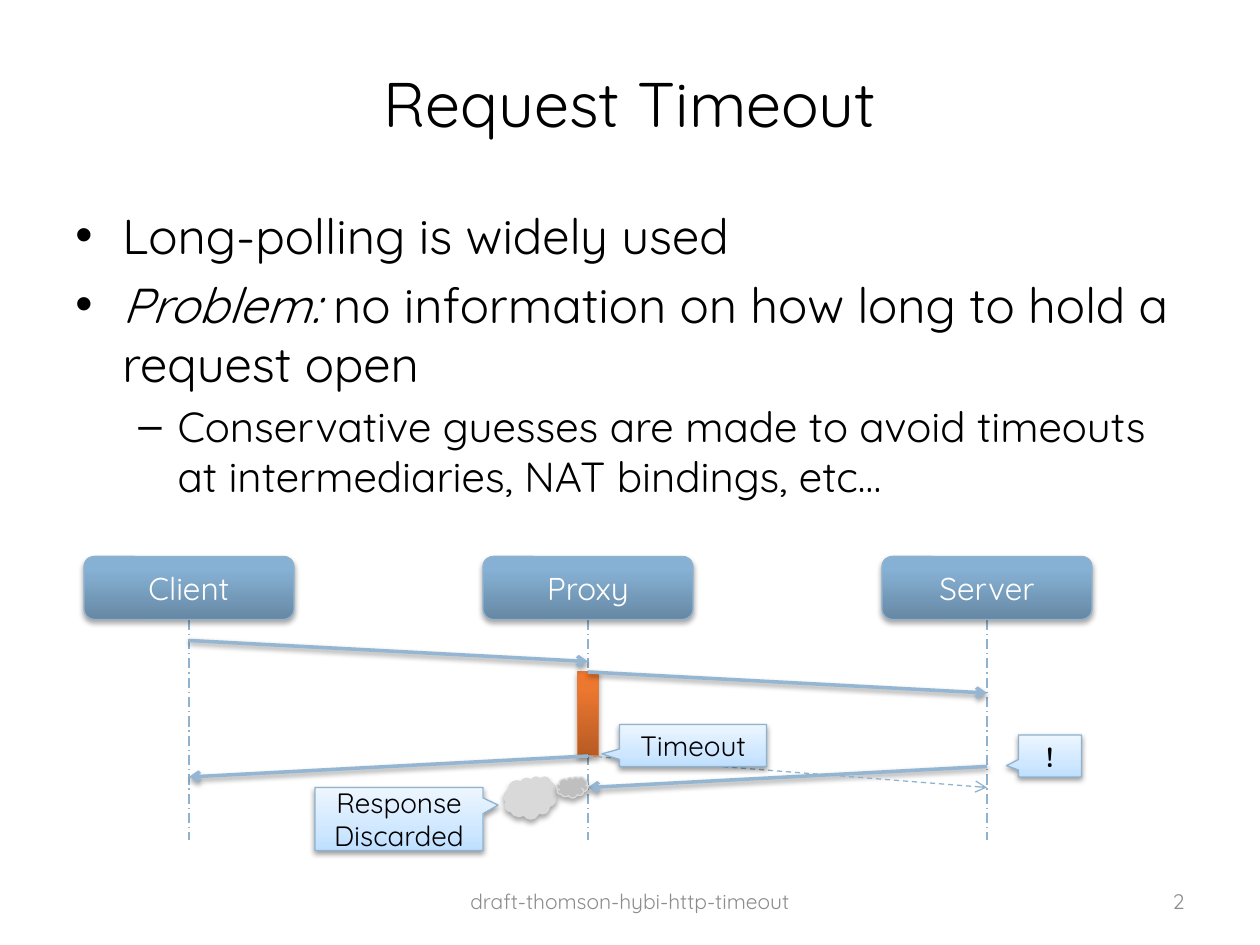
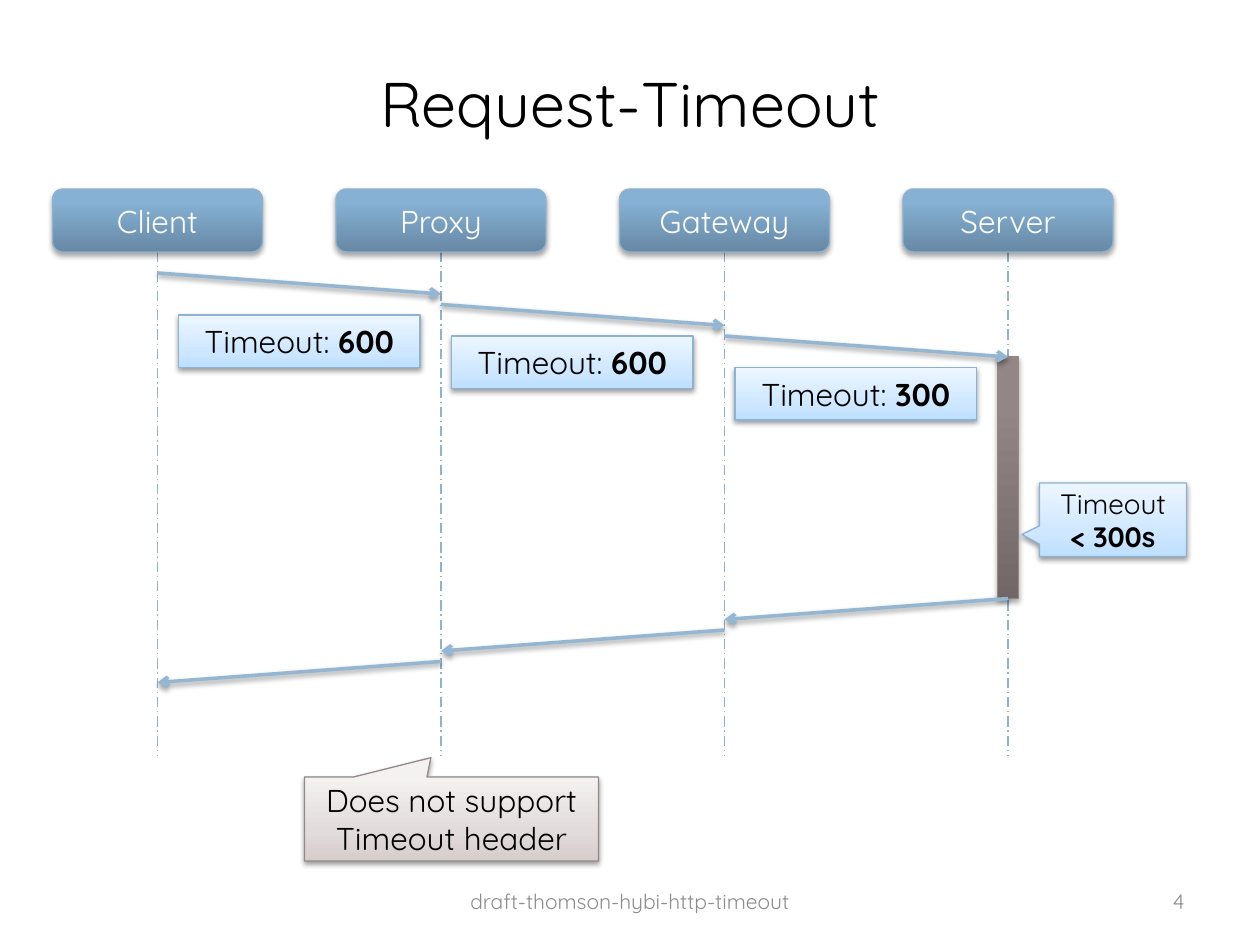
from copy import deepcopy
from itertools import pairwise

from lxml.etree import SubElement
from pptx import Presentation
from pptx.dml.color import RGBColor
from pptx.enum.dml import MSO_LINE
from pptx.enum.shapes import MSO_CONNECTOR, MSO_SHAPE
from pptx.enum.text import MSO_ANCHOR, PP_ALIGN
from pptx.oxml.ns import qn
from pptx.util import Cm, Pt

FONT = "Quicksand"
BLACK = RGBColor(0x00, 0x00, 0x00)
WHITE = RGBColor(0xFF, 0xFF, 0xFF)
FOOTER_GREY = RGBColor(0x8C, 0x8C, 0x8C)
BLUE_EDGE = RGBColor(0x8F, 0xB2, 0xCF)
MESSAGE_BLUE = RGBColor(0x94, 0xB6, 0xD2)
ORANGE_EDGE = RGBColor(0xDC, 0x7C, 0x42)
TAUPE_EDGE = RGBColor(0x93, 0x89, 0x89)
CLOUD_LIGHT = RGBColor(0xD9, 0xD9, 0xD9)
CLOUD_DARK = RGBColor(0xBF, 0xBF, 0xBF)

# Gradients run from bottom to top: (position, colour) stops.
PARTY_FILL = [(0, RGBColor(0x67, 0x88, 0xA4)), (0.8, RGBColor(0x86, 0xB1, 0xD4)),
              (1, RGBColor(0x86, 0xB2, 0xD7))]
NOTE_FILL = [(0, RGBColor(0xBD, 0xDF, 0xFF)), (0.35, RGBColor(0xD0, 0xE8, 0xFF)),
             (1, RGBColor(0xED, 0xF6, 0xFF))]
ORANGE_FILL = [(0, RGBColor(0xB6, 0x5B, 0x24)), (0.8, RGBColor(0xEC, 0x77, 0x2F)),
               (1, RGBColor(0xF1, 0x76, 0x2C))]
TAUPE_FILL = [(0, RGBColor(0x71, 0x67, 0x67)), (0.8, RGBColor(0x93, 0x86, 0x86)),
              (1, RGBColor(0x94, 0x87, 0x87))]
PALE_TAUPE_FILL = [(0, RGBColor(0xD6, 0xCD, 0xCD)), (0.35, RGBColor(0xE2, 0xDB, 0xDB)),
                   (1, RGBColor(0xF4, 0xF1, 0xF1))]

# Shadows: distance in EMU and opacity in thousandths of a percent.
STRONG_SHADOW = (23000, 35000)
SOFT_SHADOW = (20000, 38000)

CELL = 2.54 / 12  # the diagrams sit on a grid of twelve cells to the inch
PARTY_WIDTH, PARTY_HEIGHT = 20, 6
MESSAGE_DROP = 2


def grid(*cells):
    """Turn grid cells into lengths."""
    return [Cm(cell * CELL) for cell in cells]


def write(paragraph, text, size=18, color=BLACK, bold=False, italic=False,
          align=PP_ALIGN.CENTER):
    """Add a formatted run to a paragraph."""
    paragraph.alignment = align
    run = paragraph.add_run()
    run.text = text
    run.font.name = FONT
    run.font.size = Pt(size)
    run.font.bold = bold
    run.font.italic = italic
    run.font.color.rgb = color


def set_bullet(paragraph, mark, margin, indent):
    """Give a paragraph a bullet with a hanging indent."""
    properties = paragraph._p.get_or_add_pPr()
    properties.set("marL", str(Cm(margin)))
    properties.set("indent", str(-Cm(indent)))
    SubElement(properties, qn("a:buFont"), typeface="Arial")
    SubElement(properties, qn("a:buChar"), char=mark)


def set_gradient(shape, stops):
    """Fill a shape with a vertical gradient of three stops."""
    shape.fill.gradient()
    shape.fill.gradient_angle = 90
    stop_list = shape._element.spPr.find(".//" + qn("a:gsLst"))
    stop_list.append(deepcopy(stop_list[-1]))
    for stop, (position, color) in zip(shape.fill.gradient_stops, stops):
        stop.position = position
        stop.color.rgb = color


def set_shadow(properties, shadow):
    """Replace the theme shadow by the given one, or by none."""
    effects = properties.find(qn("a:effectLst"))
    if effects is None:
        effects = SubElement(properties, qn("a:effectLst"))
    if shadow:
        distance, opacity = shadow
        outer = SubElement(effects, qn("a:outerShdw"), blurRad="40000",
                           dist=str(distance), dir="5400000", rotWithShape="0")
        black = SubElement(outer, qn("a:srgbClr"), val="000000")
        SubElement(black, qn("a:alpha"), val=str(opacity))


class Deck:
    """Holds the shared style and the slide being built."""

    def __init__(self):
        """Start an empty 4:3 presentation."""
        self.presentation = Presentation()
        self.presentation.slide_width = Cm(25.4)
        self.presentation.slide_height = Cm(19.05)
        self.slide = None

    def new_slide(self, title, number):
        """Start a slide with its title, footer and number."""
        self.slide = self.presentation.slides.add_slide(
            self.presentation.slide_layouts[5])
        heading = self.slide.shapes.title
        heading.left, heading.top = Cm(1.27), Cm(0.76)
        heading.width, heading.height = Cm(22.86), Cm(2.62)
        heading.text_frame.vertical_anchor = MSO_ANCHOR.MIDDLE
        write(heading.text_frame.paragraphs[0], title, size=36)
        footer = self.text_box(8.68, 17.65, 8.04, 1.02, MSO_ANCHOR.MIDDLE)
        write(footer.paragraphs[0], "draft-thomson-hybi-http-timeout",
              size=12, color=FOOTER_GREY)
        page = self.text_box(18.2, 17.65, 5.93, 1.02, MSO_ANCHOR.MIDDLE)
        write(page.paragraphs[0], str(number), size=12, color=FOOTER_GREY,
              align=PP_ALIGN.RIGHT)

    def text_box(self, left, top, width, height, anchor=MSO_ANCHOR.TOP):
        """Add a wrapping text box, in centimetres, and return its frame."""
        frame = self.slide.shapes.add_textbox(
            Cm(left), Cm(top), Cm(width), Cm(height)).text_frame
        frame.word_wrap = True
        frame.vertical_anchor = anchor
        return frame

    def bullets(self, items):
        """Add the body text; each item is a level, an italic lead and a text."""
        frame = self.text_box(1.27, 4.02, 22.86, 12.57)
        for index, (level, lead, text) in enumerate(items):
            paragraph = frame.add_paragraph() if index else frame.paragraphs[0]
            paragraph.level = level
            size = (28, 24)[level]
            paragraph.space_before = Pt(size * 0.2)
            set_bullet(paragraph, *(("•", 0.95, 0.95), ("–", 2.06, 0.79))[level])
            if lead:
                write(paragraph, lead, size, italic=True, align=PP_ALIGN.LEFT)
            write(paragraph, text, size, align=PP_ALIGN.LEFT)

    def shape(self, kind, place, fill, edge, shadow=STRONG_SHADOW):
        """Add a preset shape with a plain or gradient fill."""
        shape = self.slide.shapes.add_shape(kind, *grid(*place))
        if isinstance(fill, RGBColor):
            shape.fill.solid()
            shape.fill.fore_color.rgb = fill
        else:
            set_gradient(shape, fill)
        shape.line.color.rgb = edge
        shape.line.width = Pt(0.75)
        shape.shadow.inherit = False
        set_shadow(shape._element.spPr, shadow)
        shape.text_frame.word_wrap = True
        shape.text_frame.vertical_anchor = MSO_ANCHOR.MIDDLE
        return shape

    def note(self, place, text="", strong="", size=16, pointer=None,
             fill=NOTE_FILL, edge=BLUE_EDGE):
        """Add a label, as a callout when it has a pointer."""
        kind = MSO_SHAPE.RECTANGULAR_CALLOUT if pointer else MSO_SHAPE.RECTANGLE
        note = self.shape(kind, place, fill, edge, SOFT_SHADOW)
        for index, offset in enumerate(pointer or ()):
            note.adjustments[index] = offset
        paragraph = note.text_frame.paragraphs[0]
        if text:
            write(paragraph, text, size)
        if strong:
            write(paragraph, strong, size, bold=True)

    def line(self, start, end, color=BLUE_EDGE, width=0.75, dash=None,
             arrow=True, shadow=None):
        """Add a straight line between two grid points."""
        line = self.slide.shapes.add_connector(
            MSO_CONNECTOR.STRAIGHT, *grid(*start, *end))
        line.line.color.rgb = color
        line.line.width = Pt(width)
        if dash:
            line.line.dash_style = dash
        properties = line._element.spPr
        if arrow:
            SubElement(properties.find(qn("a:ln")), qn("a:tailEnd"), type="arrow")
        set_shadow(properties, shadow)

    def message(self, source, target, top):
        """Add a message arrow that drops a little on its way."""
        self.line((source, top), (target, top + MESSAGE_DROP), MESSAGE_BLUE,
                  width=2, shadow=SOFT_SHADOW)

    def parties(self, names, lanes, top, bottom):
        """Add the lifelines and the named boxes at their heads."""
        head_end = top + PARTY_HEIGHT
        for lane in lanes:
            self.line((lane, head_end), (lane, bottom),
                      dash=MSO_LINE.LONG_DASH_DOT, arrow=False)
        for name, lane in zip(names, lanes):
            party = self.shape(
                MSO_SHAPE.ROUNDED_RECTANGLE,
                (lane - PARTY_WIDTH / 2, top, PARTY_WIDTH, PARTY_HEIGHT),
                PARTY_FILL, BLUE_EDGE)
            write(party.text_frame.paragraphs[0], name, color=WHITE)

    def waiting(self, lane, top, height, fill, edge):
        """Add the bar that shows a party waiting on its lifeline."""
        self.shape(MSO_SHAPE.RECTANGLE, (lane - 1, top, 2, height), fill, edge)


def build_problem(deck):
    """Build the slide about the lack of timeout information."""
    deck.new_slide("Request Timeout", 2)
    deck.bullets([
        (0, "", "Long-polling is widely used"),
        (0, "Problem: ", "no information on how long to hold a request open"),
        (1, "", "Conservative guesses are made to avoid timeouts at "
                "intermediaries, NAT bindings, etc…"),
    ])
    lanes = client, proxy, server = range(18, 95, 38)
    deck.parties(("Client", "Proxy", "Server"), lanes, top=53, bottom=80)
    deck.waiting(proxy, 64, 8, ORANGE_FILL, ORANGE_EDGE)
    deck.message(client, proxy, 61)
    deck.message(proxy, server, 64)
    deck.message(server, proxy, 73)
    deck.message(proxy, client, 72)
    deck.note((97, 70, 6, 4), strong="!", pointer=(-0.69, 0.23))
    deck.note((30, 75, 16, 6), "Response Discarded", pointer=(0.59, -0.22))
    deck.shape(MSO_SHAPE.CLOUD, (48, 74, 5, 4), CLOUD_LIGHT, CLOUD_LIGHT)
    deck.shape(MSO_SHAPE.CLOUD, (53, 74, 3, 2), CLOUD_DARK, CLOUD_LIGHT)
    deck.line((proxy, 72), (server, 75), dash=MSO_LINE.DASH)
    deck.note((59, 69, 14, 4), "Timeout", pointer=(-0.62, 0.2))


def build_header(deck):
    """Build the slide about the header passed along the chain."""
    deck.new_slide("Request-Timeout", 4)
    lanes = range(15, 97, 27)
    server = lanes[-1]
    deck.parties(("Client", "Proxy", "Gateway", "Server"), lanes, top=18, bottom=72)
    deck.waiting(server, 34, 23, TAUPE_FILL, TAUPE_EDGE)
    for chain, first_top in ((lanes, 26), (lanes[::-1], 57)):
        for hop, (source, target) in enumerate(pairwise(chain)):
            deck.message(source, target, first_top + 3 * hop)
    for left, top, seconds in ((17, 30, "600"), (43, 32, "600"), (70, 35, "300")):
        deck.note((left, top, 23, 5), "Timeout: ", seconds, size=18)
    deck.note((99, 46, 14, 7), "Timeout ", "< 300s", pointer=(-0.62, 0.2))
    deck.note((29, 74, 28, 8), "Does not support Timeout header", size=18,
              pointer=(-0.07, -0.73), fill=PALE_TAUPE_FILL, edge=TAUPE_EDGE)


def main():
    """Build both slides and save them."""
    deck = Deck()
    build_problem(deck)
    build_header(deck)
    deck.presentation.save("out.pptx")


main()
